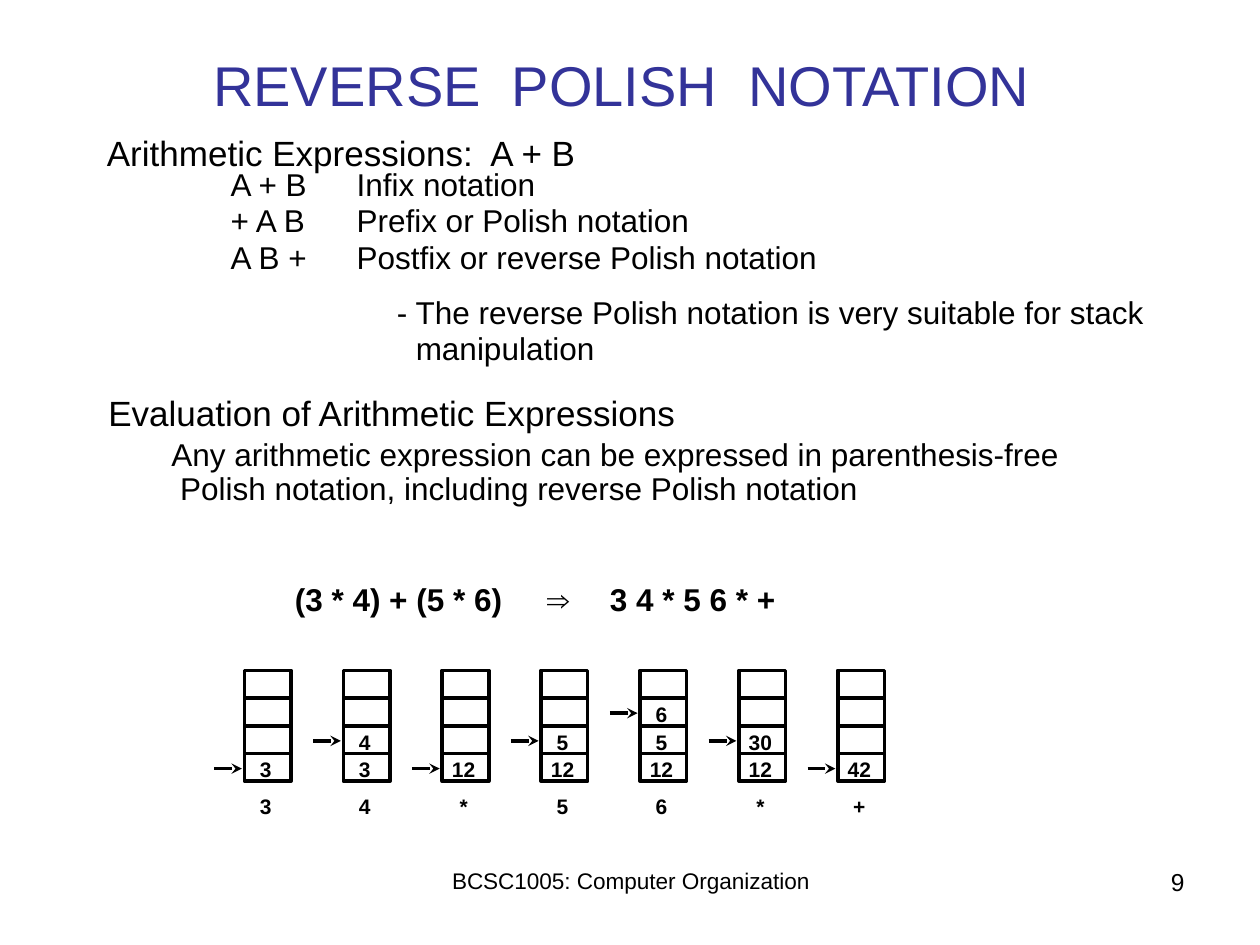
from lxml.etree import SubElement
from pptx import Presentation
from pptx.dml.color import RGBColor
from pptx.enum.shapes import MSO_CONNECTOR as Link, MSO_SHAPE as Shape
from pptx.enum.text import MSO_ANCHOR as Anchor, MSO_AUTO_SIZE as AutoSize, PP_ALIGN as Align
from pptx.oxml.ns import qn
from pptx.util import Inches, Pt

COLORS = {"title": "333399", "ink": "000000"}
FONT = "Arial"
WIDE_INSETS = (0.1, 0.05)
SLIM_INSETS = (0.07, 0.03)

STACK_LEFT, STACK_TOP, STACK_PITCH = 1.94, 5.32, 0.785
CELL_W, CELL_H, CELL_COUNT = 0.37, 0.22, 4
STEPS = [
    ("3", ["3"]),
    ("4", ["3", "4"]),
    ("*", ["12"]),
    ("5", ["12", "5"]),
    ("6", ["12", "5", "6"]),
    ("*", ["12", "30"]),
    ("+", ["42"]),
]


class SlideBuilder:
    def __init__(self, slide):
        self.slide = slide

    def fill_text(self, holder, lines, size, color="ink", bold=False, align=Align.LEFT,
                  spacing=1.0, before=0, insets=SLIM_INSETS, anchor=Anchor.TOP,
                  indents=((0, 0),), tabs=()):
        frame = holder.text_frame
        frame.word_wrap = True
        frame.auto_size = AutoSize.NONE
        frame.vertical_anchor = anchor
        frame.margin_left = frame.margin_right = Inches(insets[0])
        frame.margin_top = frame.margin_bottom = Inches(insets[1])
        for index, line in enumerate(lines):
            paragraph = frame.add_paragraph() if index else frame.paragraphs[0]
            paragraph.alignment = align
            paragraph.line_spacing = spacing
            paragraph.space_before = Pt(before)
            margin, first = indents[min(index, len(indents) - 1)]
            props = paragraph._p.get_or_add_pPr()
            props.set("marL", str(Inches(margin)))
            props.set("indent", str(Inches(first)))
            SubElement(props, qn("a:buNone"))
            if tabs:
                stops = SubElement(props, qn("a:tabLst"))
                for stop in tabs:
                    SubElement(stops, qn("a:tab"), pos=str(Inches(stop)), algn="l")
            run = paragraph.add_run()
            run.text = line
            run.font.name = FONT
            run.font.size = Pt(size)
            run.font.bold = bold
            run.font.color.rgb = RGBColor.from_string(COLORS[color])

    def placeholder(self, holder, box, lines, size, **style):
        holder.left, holder.top, holder.width, holder.height = map(Inches, box)
        self.fill_text(holder, lines, size, **style)

    def text(self, box, lines, size, **style):
        self.fill_text(self.slide.shapes.add_textbox(*map(Inches, box)), lines, size, **style)

    def frame(self, box):
        outline = self.slide.shapes.add_shape(Shape.RECTANGLE, *map(Inches, box))
        outline.shadow.inherit = False
        outline.fill.background()
        self.stroke(outline)
        return outline

    def stroke(self, item):
        item.line.color.rgb = RGBColor.from_string(COLORS["ink"])
        item.line.width = Pt(2)

    def line(self, x1, x2, y, arrow=False):
        link = self.slide.shapes.add_connector(
            Link.STRAIGHT, Inches(x1), Inches(y), Inches(x2), Inches(y))
        self.stroke(link)
        props = link._element.spPr
        if arrow:
            SubElement(props.find(qn("a:ln")), qn("a:tailEnd"), type="stealth")
        SubElement(props, qn("a:effectLst"))
        return link

    def number(self, left, top, value):
        self.text((left - 0.03, top, 0.4, 0.28), [value], 12, bold=True,
                  align=Align.CENTER, spacing=0.9, insets=WIDE_INSETS)

    def stack(self, left, symbol, values):
        height = CELL_COUNT * CELL_H
        outline = self.frame((left, STACK_TOP, CELL_W, height))
        for row in range(1, CELL_COUNT):
            divider = self.line(left, left + CELL_W, STACK_TOP + row * CELL_H)
            if row * 2 == CELL_COUNT:
                divider.begin_connect(outline, 1)
                divider.end_connect(outline, 3)
        for level, value in enumerate(values, 1):
            cell_top = STACK_TOP + height - level * CELL_H
            self.number(left, cell_top, value)
        self.line(left - 0.24, left - 0.02, cell_top + 0.12, arrow=True)
        self.number(left, 6.27, symbol)


def main():
    deck = Presentation()
    deck.slide_width, deck.slide_height = Inches(10), Inches(7.5)
    slide = deck.slides.add_slide(deck.slide_layouts[1])
    page = SlideBuilder(slide)

    page.placeholder(slide.shapes.title, (1.17, 0.25, 7.53, 0.84),
                     ["REVERSE  POLISH  NOTATION"], 32, color="title",
                     align=Align.CENTER, anchor=Anchor.MIDDLE)
    page.placeholder(slide.placeholders[1], (1.76, 1.3, 7.58, 0.92),
                     ["A + B\tInfix notation",
                      "+ A B\tPrefix or Polish notation",
                      "A B +\tPostfix or reverse Polish notation"],
                     18, spacing=0.96, tabs=(1.41,))
    page.text((0.75, 1.03, 4.2, 0.4), ["Arithmetic Expressions:  A + B"], 20,
              spacing=0.9, insets=WIDE_INSETS)
    page.text((2.81, 2.32, 6.85, 1.05),
              ["- The reverse Polish notation is very suitable for stack manipulation"],
              18, spacing=0.94, before=10.5, indents=((0.42, -0.15),))
    page.text((0.79, 3.13, 4.8, 0.34), ["Evaluation of Arithmetic Expressions"], 20,
              spacing=0.85)
    page.text((1.29, 3.46, 7.39, 0.6),
              ["Any arithmetic expression can be expressed in parenthesis-free",
               "Polish notation, including reverse Polish notation"],
              18, spacing=0.9, indents=((0, 0), (0.07, 0)))
    page.text((2.27, 4.59, 4.2, 0.34), ["(3 * 4) + (5 * 6)\t⇒\t3 4 * 5 6 * +"], 18,
              bold=True, spacing=0.96, tabs=(1.92, 2.52))

    for index, (symbol, values) in enumerate(STEPS):
        page.stack(STACK_LEFT + index * STACK_PITCH, symbol, values)

    page.text((3.42, 6.83, 3.17, 0.52), ["BCSC1005: Computer Organization"], 12.9,
              align=Align.CENTER, insets=WIDE_INSETS)
    page.text((7.17, 6.83, 2.33, 0.52), ["9"], 14, align=Align.RIGHT, insets=WIDE_INSETS)
    deck.save("out.pptx")


if __name__ == "__main__":
    main()
